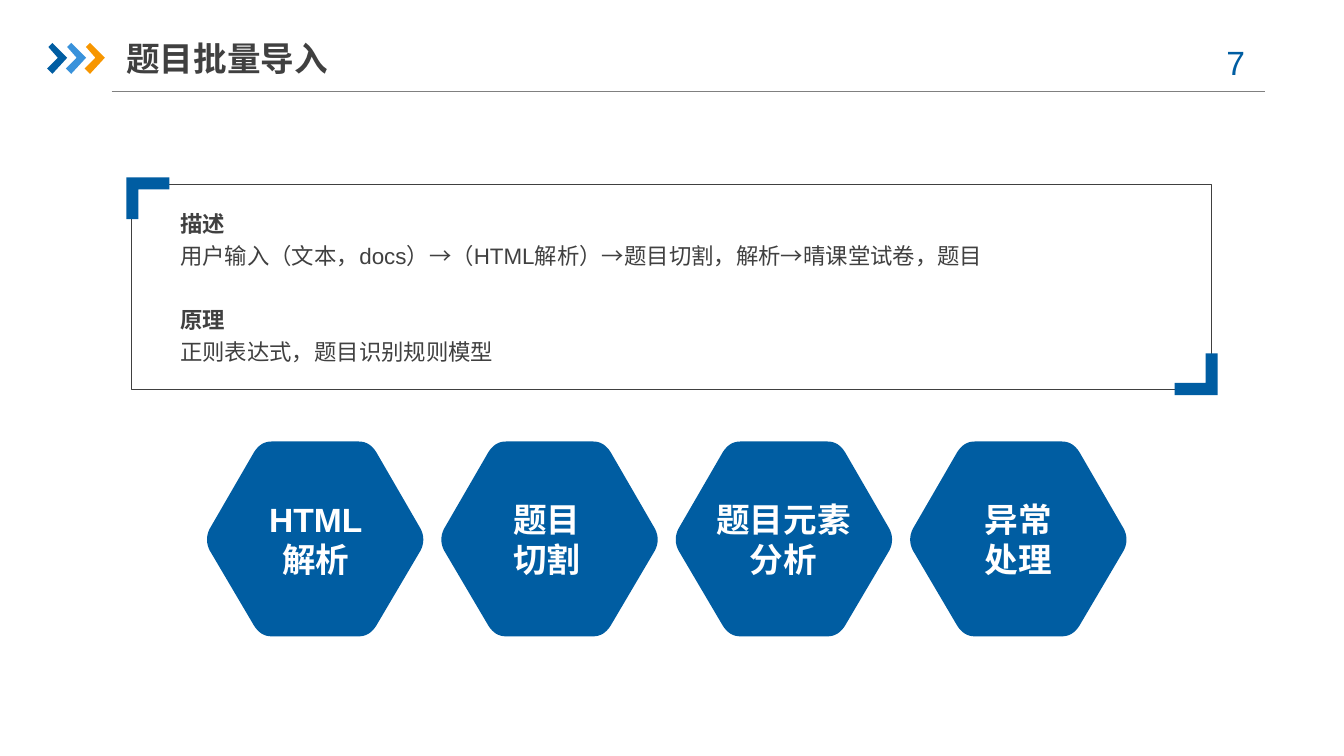
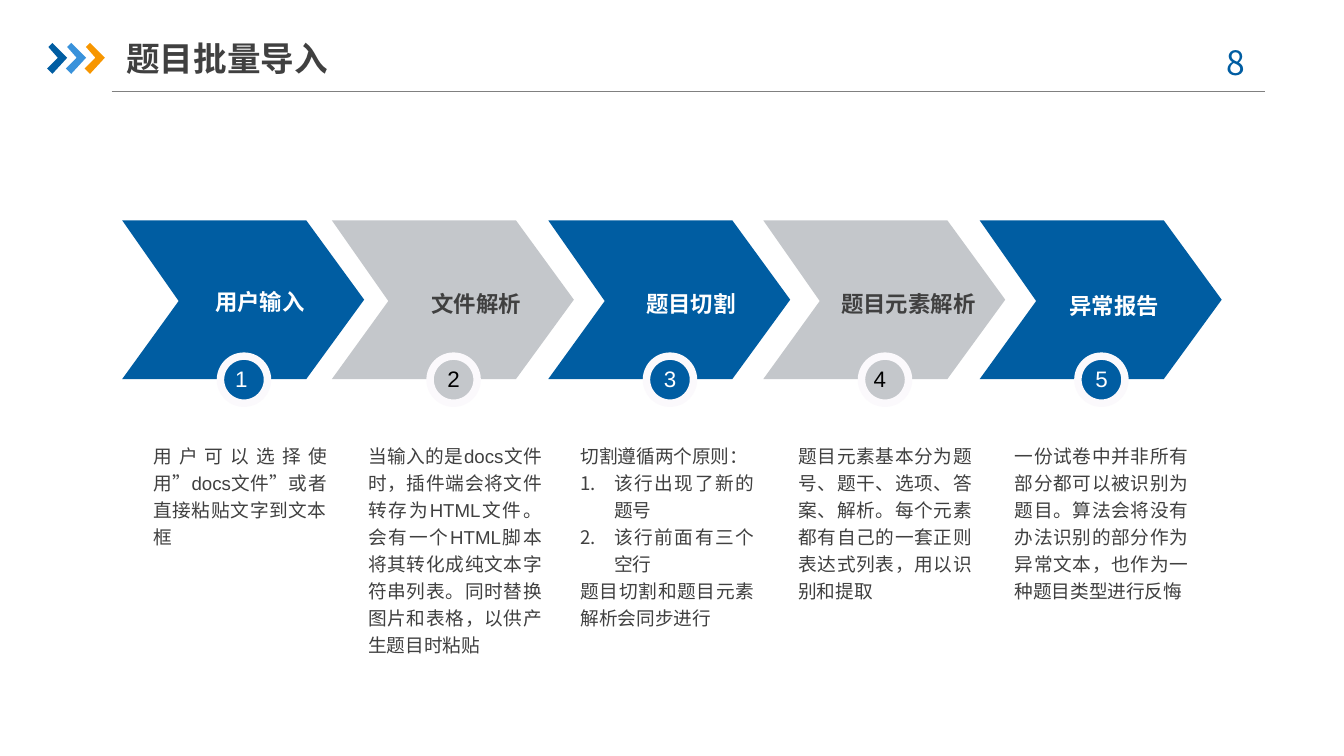
"""Build two slides on importing exam questions in bulk."""
from lxml import etree
from pptx import Presentation
from pptx import util as u
from pptx.dml.color import RGBColor
from pptx.enum import shapes, text
from pptx.enum.lang import MSO_LANGUAGE_ID
from pptx.oxml.ns import qn

PX = 9144
COLORS = {
    "blue": "005DA2", "sky": "3992DB", "orange": "F79600", "silver": "C4C7CB",
    "rule": "808080", "ink": "404040", "white": "FFFFFF", "black": "000000",
    "halo": "FBF9FC",
}
RGB = {name: RGBColor.from_string(value) for name, value in COLORS.items()}
CENTER, JUSTIFY = text.PP_ALIGN.CENTER, text.PP_ALIGN.JUSTIFY
MIDDLE = text.MSO_ANCHOR.MIDDLE
PARA_KEYS = ("alignment", "line_spacing", "space_before")
BASE = {"name": "Arial", "size": u.Pt(12), "bold": False, "color": "ink"}
TITLE = {**BASE, "size": u.Pt(18), "bold": True}
HEXAGON_LABEL = {**TITLE, "color": "white", "alignment": CENTER}
STEP_LABEL = {**BASE, "bold": True, "alignment": CENTER}
BODY = {**BASE, "alignment": JUSTIFY, "line_spacing": 1.2}
NOTE = {**BODY, "size": u.Pt(10)}


def write(page, area, paras, style, anchor=text.MSO_ANCHOR.TOP):
    """Place a text box whose paragraphs are (words, overrides) pairs."""
    box = page.shapes.add_textbox(*[n * PX for n in area])
    frame = box.text_frame
    frame.word_wrap = True
    frame.vertical_anchor = anchor
    for side in ("left", "right", "top", "bottom"):
        setattr(frame, f"margin_{side}", 0)
    for index, (words, overrides) in enumerate(paras):
        para = frame.add_paragraph() if index else frame.paragraphs[0]
        look = {**style, **overrides}
        if look.pop("numbered", False):
            props = para._p.get_or_add_pPr()
            props.set("marL", str(25 * PX))
            props.set("indent", str(-25 * PX))
            etree.SubElement(props, qn("a:buAutoNum"), type="arabicPeriod")
        span = para.add_run()
        span.text = words
        span.font.language_id = MSO_LANGUAGE_ID.SIMPLIFIED_CHINESE
        span.font.color.rgb = RGB[look.pop("color")]
        for key, value in look.items():
            setattr(para if key in PARA_KEYS else span.font, key, value)
        etree.SubElement(span._r.get_or_add_rPr(), qn("a:ea"), typeface="Noto Sans CJK SC")


def outline(page, points, color):
    """Draw a closed filled outline through points given in px."""
    corners = [(round(x * PX), round(y * PX)) for x, y in points]
    builder = page.shapes.build_freeform(*corners[0], scale=1.0)
    builder.add_line_segments(corners[1:], close=True)
    shape = builder.convert_to_shape()
    shape.shadow.inherit = False
    shape.fill.solid()
    shape.fill.fore_color.rgb = RGB[color]
    shape.line.fill.background()


deck = Presentation()
deck.slide_width, deck.slide_height = u.Pt(720), u.Pt(405)

pages = []
for number, number_font in (("7", "Arial"), ("8", "Noto Sans CJK SC")):
    page = deck.slides.add_slide(deck.slide_layouts[6])
    pages.append(page)
    rule = page.shapes.add_connector(
        shapes.MSO_CONNECTOR.STRAIGHT, 83 * PX, 68 * PX, 941 * PX, 68 * PX)
    rule.line.color.rgb = RGB["rule"]
    rule.line.width = u.Pt(0.75)
    etree.SubElement(rule._element.spPr, qn("a:effectLst"))
    for index, color in enumerate(("blue", "sky", "orange")):
        arrow = [(36, 35), (39, 32), (50, 43), (39, 55), (35, 51), (43, 43)]
        outline(page, [(x + 14 * index, y) for x, y in arrow], color)
    write(page, (883, 31, 73, 30), [(number, {})],
          {**BASE, "name": number_font, "size": u.Pt(18), "color": "blue", "alignment": CENTER})
    write(page, (94, 22, 233, 42), [("题目批量导入", {})], TITLE, MIDDLE)

overview, steps = pages

panel = overview.shapes.add_shape(
    shapes.MSO_SHAPE.RECTANGLE, 98 * PX, 137 * PX, 803 * PX, 153 * PX)
panel.shadow.inherit = False
panel.fill.background()
panel.line.color.rgb = RGB["ink"]
panel.line.width = u.Pt(0.25)
write(overview, (134, 152, 738, 121), [
    ("描述", {"bold": True}),
    ("用户输入（文本，docs）→（HTML解析）→题目切割，解析→晴课堂试卷，题目", {}),
    ("原理", {"bold": True, "space_before": u.Pt(17)}),
    ("正则表达式，题目识别规则模型", {}),
], BODY)
bracket = [(0, 0), (32, 0), (32, 9), (9, 9), (9, 31), (0, 31)]
for left, top, sign in ((94, 132, 1), (906, 294, -1)):
    outline(overview, [(left + sign * x, top + sign * y) for x, y in bracket], "blue")

hexagon_corners = [
    ((2, 81), (-2, 73), (2, 65)), ((35, 8), (40, 0), (48, 0)),
    ((113, 0), (121, 0), (126, 8)), ((159, 65), (163, 73), (159, 81)),
    ((126, 137), (121, 145), (113, 145)), ((48, 145), (40, 145), (35, 137)),
]
hexagon = []
for start, control, end in hexagon_corners:
    for t in (n / 8 for n in range(9)):
        hexagon.append(tuple(
            (1 - t) ** 2 * a + 2 * t * (1 - t) * b + t * t * c
            for a, b, c in zip(start, control, end)))
hexagon_labels = [
    (182, 106, ["HTML", "解析"]), (354, 106, ["题目", "切割"]),
    (527, 112, ["题目元素分析"]), (722, 71, ["异常处理"]),
]
for index, (left, width, lines) in enumerate(hexagon_labels):
    outline(overview, [(154 + 174.4 * index + x, 328.5 + y) for x, y in hexagon], "blue")
    write(overview, (left, 371, width, 61), [(line, {}) for line in lines], HEXAGON_LABEL)

chevron = [(0, 0), (42, 60), (0, 118), (137, 118), (180, 59), (137, 0)]
stages = [
    (91, 150, 87, 224, 175, 114, "用户输入",
     [("用户可以选择使用”docs文件”或者直接粘贴文字到文本框", {})]),
    (247, 296, 117, 226, 333, 274, "文件解析",
     [("当输入的是docs文件时，插件端会将文件转存为HTML文件。会有一个HTML脚本将其转化成"
       "纯文本字符串列表。同时替换图片和表格，以供产生题目时粘贴", {})]),
    (408, 453, 122, 226, 494, 432, "题目切割",
     [("切割遵循两个原则：", {}),
      ("该行出现了新的题号", {"numbered": True}),
      ("该行前面有三个空行", {"numbered": True}),
      ("题目切割和题目元素解析会同步进行", {})]),
    (568, 616, 120, 226, 650, 594, "题目元素解析",
     [("题目元素基本分为题号、题干、选项、答案、解析。每个元素都有自己的一套正则表达式列表，"
       "用以识别和提取", {})]),
    (729, 767, 124, 227, 815, 755, "异常报告",
     [("一份试卷中并非所有部分都可以被识别为题目。算法会将没有办法识别的部分作为异常文本，"
       "也作为一种题目类型进行反悔", {})]),
]
for index, stage in enumerate(stages):
    left, label_left, label_width, label_middle, digit_left, note_left, label, notes = stage
    fill, label_color, digit_color = (
        ("silver", "ink", "black") if index % 2 else ("blue", "white", "white"))
    outline(steps, [(left + x, 164 + y) for x, y in chevron], fill)
    write(steps, (label_left, label_middle - 9, label_width, 18), [(label, {})],
          {**STEP_LABEL, "color": label_color}, MIDDLE)
    badge = steps.shapes.add_shape(
        shapes.MSO_SHAPE.OVAL, (left + 73) * PX, 265 * PX, 35 * PX, 35 * PX)
    badge.shadow.inherit = False
    badge.fill.solid()
    badge.fill.fore_color.rgb = RGB[fill]
    badge.line.color.rgb = RGB["halo"]
    badge.line.width = u.Pt(4)
    write(steps, (digit_left, 269, 10, 26), [(str(index + 1), {})],
          {**BASE, "color": digit_color}, MIDDLE)
    write(steps, (note_left, 328, 129, 162), notes, NOTE)

deck.save("out.pptx")
